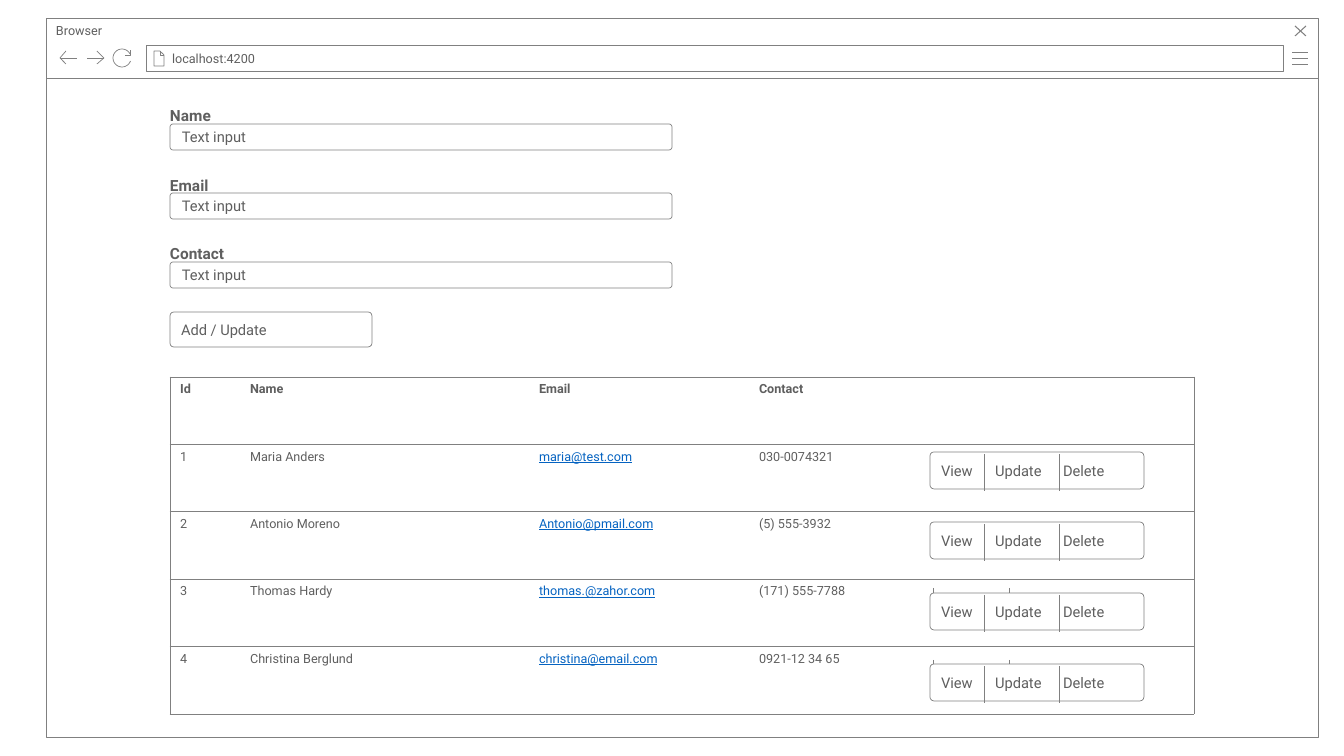
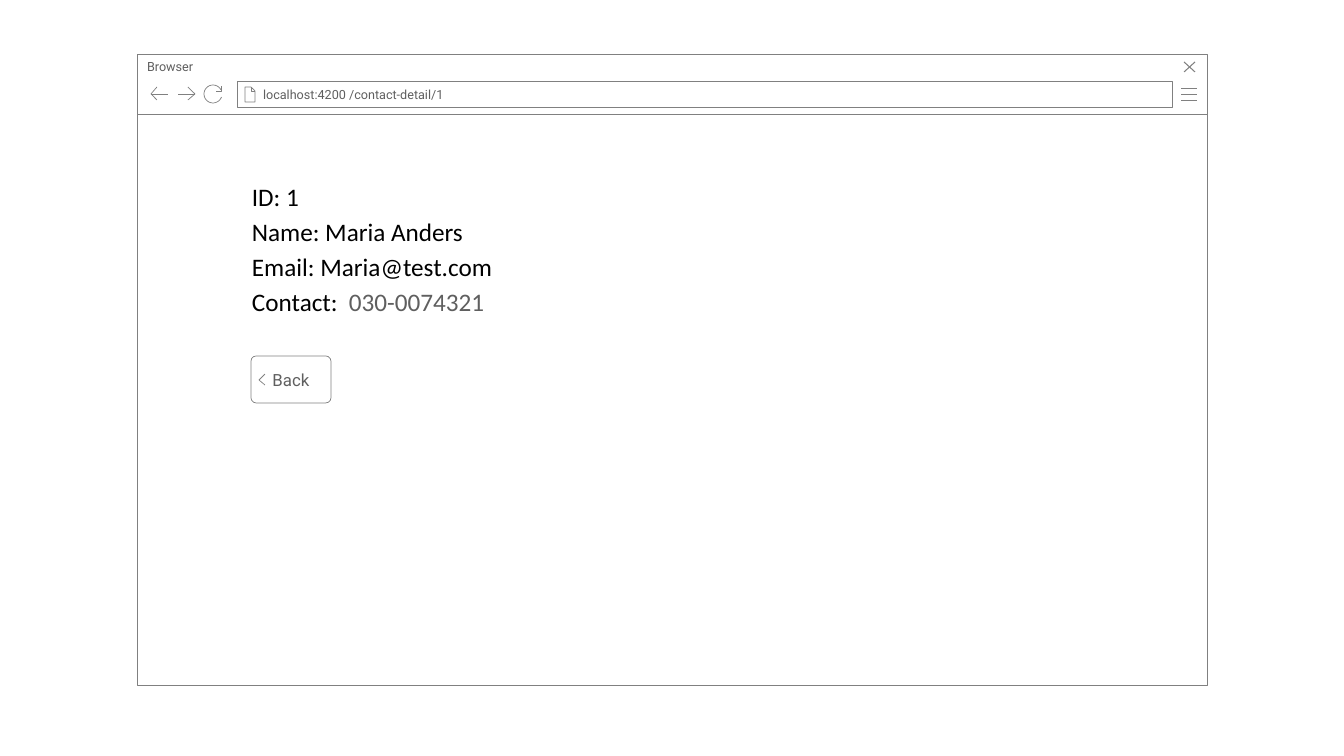
import math
from lxml import etree
from pptx import Presentation
from pptx.dml.color import RGBColor
from pptx.enum import shapes, text
from pptx.oxml import ns
from pptx.util import Pt

PX = 9071  # EMU in one px
GREY, INK, LINK, WHITE, BLACK = "808080", "5F5F5F", "0563C1", "FFFFFF", "000000"
FONT = "Roboto"
RECT, ROUND = shapes.MSO_SHAPE.RECTANGLE, shapes.MSO_SHAPE.ROUNDED_RECTANGLE
rgb = RGBColor.from_string


def box(slide, kind, x, y, w, h, label="", size=9, inset=10, tabs=()):
    """Draw an outlined box with left-aligned text; tabs are px from the inset."""
    shape = slide.shapes.add_shape(kind, x * PX, y * PX, w * PX, h * PX)
    shape.shadow.inherit = False
    shape.fill.solid()
    shape.fill.fore_color.rgb = rgb(WHITE)
    shape.line.color.rgb = rgb(GREY)
    shape.line.width = Pt(0.5)
    if kind == ROUND:
        shape.adjustments[0] = 0.11
    frame = shape.text_frame
    frame.word_wrap = True
    frame.vertical_anchor = text.MSO_ANCHOR.MIDDLE
    frame.margin_left, frame.margin_right = inset * PX, 7 * PX
    frame.margin_top = frame.margin_bottom = 0
    para = frame.paragraphs[0]
    para.text = label
    para.alignment = text.PP_ALIGN.LEFT
    if tabs:
        stops = etree.SubElement(para._p.get_or_add_pPr(), ns.qn("a:tabLst"))
        for tab in tabs:
            etree.SubElement(stops, ns.qn("a:tab"), pos=str(tab * PX), algn="l")
    para.font.name, para.font.size = FONT, Pt(size)
    para.font.color.rgb = rgb(INK)
    return shape


def trace(slide, left, top, strokes, width=0.5):
    """Draw an icon as one outline; each stroke is a list of px points."""
    pen = None
    for stroke in strokes:
        spots = [((left + x) * PX, (top + y) * PX) for x, y in stroke]
        if pen is None:
            pen = slide.shapes.build_freeform(*spots[0], scale=1)
        else:
            pen.move_to(*spots[0])
        pen.add_line_segments(spots[1:], close=False)
    icon = pen.convert_to_shape()
    icon.shadow.inherit = False
    icon.fill.background()
    icon.line.color.rgb = rgb(GREY)
    icon.line.width = Pt(width)


deck = Presentation()
deck.slide_width, deck.slide_height = 1344 * PX, 756 * PX

# Browser windows, one per slide
arc = [(76 + 9 * math.cos(math.radians(a)), 40 + 9 * math.sin(math.radians(a)))
       for a in range(20, 333, 12)]
tools = [
    [[(108, 33), (108, 48), (118, 48), (118, 37), (114, 33), (108, 33)],
     [(114, 33), (114, 37), (118, 37)]],
    [[(20, 46), (14, 40), (20, 33)], [(14, 40), (31, 40)]],
    [[(51, 33), (58, 40), (51, 46)], [(58, 40), (41, 40)]],
    [[(84, 32), (84, 37), (79, 37)], arc],
]
menu = [[(-26, y), (-10, y)] for y in (34, 40, 46)]
cross = [[(-12, 8), (-23, 18)], [(-23, 8), (-12, 18)]]

pages = []
for x, y, w, h, url in [
    (46, 18, 1272, 719, "localhost:4200"),
    (137, 54, 1070, 631, "localhost:4200 /contact-detail/1"),
]:
    page = deck.slides.add_slide(deck.slide_layouts[6])
    pages.append(page)
    box(page, RECT, x, y + 60, w, h - 60)
    bar = box(page, RECT, x, y, w, 60, "Browser").text_frame
    bar.vertical_anchor = text.MSO_ANCHOR.TOP
    bar.margin_top = 5 * PX
    trace(page, x + w, y, menu)
    trace(page, x + w, y, cross, 0.75)
    box(page, RECT, x + 100, y + 27, w - 135, 26, url, inset=26)
    for tool in tools:
        trace(page, x, y, tool)
form, detail = pages

# Contact form
for i, name in enumerate(["Name", "Email", "Contact"]):
    y = 124 + 69 * i
    box(form, ROUND, 170, y, 502, 26, "Text input", 10.5, 11)
    frame = form.shapes.add_textbox(170 * PX, (y - 22) * PX, 100 * PX, 16 * PX).text_frame
    frame.word_wrap = True
    frame.margin_left = frame.margin_right = frame.margin_top = frame.margin_bottom = 0
    para = frame.paragraphs[0]
    para.text = name
    para.line_spacing = 1.25
    para.font.name, para.font.size, para.font.bold = FONT, Pt(11), True
    para.font.color.rgb = rgb(INK)
box(form, ROUND, 170, 312, 202, 35, "Add / Update", 10.5)

# Contact table
rows = [
    ("Id", "Name", "Email", "Contact", ""),
    ("1", "Maria Anders", "maria@test.com", "030-0074321", ""),
    ("2", "Antonio Moreno", "Antonio@pmail.com", "(5) 555-3932", ""),
    ("3", "Thomas Hardy", "thomas.@zahor.com", "(171) 555-7788", ""),
    ("4", "Christina Berglund", "christina@email.com", "0921-12 34 65", ""),
]
table = form.shapes.add_table(5, 5, 170 * PX, 377 * PX, 1024 * PX, 337 * PX).table
table.first_row = table.horz_banding = False
for col, w in zip(table.columns, (70, 289, 220, 261, 184)):
    col.width = w * PX
for r, row in enumerate(rows):
    table.rows[r].height = 337 * PX // 5
    for c, value in enumerate(row):
        cell = table.cell(r, c)
        cell.fill.solid()
        cell.fill.fore_color.rgb = rgb(WHITE)
        para = cell.text_frame.paragraphs[0]
        para.text = value
        link = r > 0 and c == 2
        para.font.name, para.font.size = FONT, Pt(9)
        para.font.bold, para.font.underline = r == 0, link
        para.font.color.rgb = rgb(LINK if link else INK)
        edges = [("L", c == 0), ("R", c == 4), ("T", True), ("B", True)]
        for i, (side, shown) in enumerate(edges):
            edge = etree.Element(ns.qn("a:ln" + side), w=str(Pt(0.5)))
            paint = etree.SubElement(edge, ns.qn("a:solidFill" if shown else "a:noFill"))
            if shown:
                etree.SubElement(paint, ns.qn("a:srgbClr"), val=GREY)
            cell._tc.get_or_add_tcPr().insert(i, edge)

# Row buttons with dividers
tops = (452, 522, 593, 664)
for y in tops:
    box(form, ROUND, 930, y, 214, 37, "View\tUpdate\tDelete", 10.5, tabs=(54, 122))
rails = [(x, y + 2, 37) for y in tops for x in (984, 1059)]
rails += [(x, y, h) for y, h in ((588, 5), (660, 4)) for x in (933, 1009)]
for x, y, h in rails:
    rail = form.shapes.add_connector(
        shapes.MSO_CONNECTOR.STRAIGHT, x * PX, y * PX, x * PX, (y + h) * PX)
    rail.line.color.rgb = rgb(GREY)
    rail.line.width = Pt(0.5)
    etree.SubElement(rail._element.spPr, ns.qn("a:effectLst"))

# Contact detail
box(detail, ROUND, 251, 356, 80, 47, "Back", 12, 20)
trace(detail, 259, 374, [[(6, 11), (0, 6), (6, 0)]])
facts = ["ID: 1", "Name: Maria Anders", "Email: Maria@test.com", "Contact:"]
for i, fact in enumerate(facts):
    frame = detail.shapes.add_textbox(
        242 * PX, (176 + 35 * i) * PX, 359 * PX, 40 * PX).text_frame
    frame.word_wrap = True
    para = frame.paragraphs[0]
    para.text = fact
    if fact == "Contact:":
        stops = etree.SubElement(para._p.get_or_add_pPr(), ns.qn("a:tabLst"))
        etree.SubElement(stops, ns.qn("a:tab"), pos=str(97 * PX), algn="l")
        phone = para.add_run()
        phone.text = "\t030-0074321"
        phone.font.color.rgb = rgb(INK)
    para.font.name, para.font.size = "Calibri", Pt(18)
    para.font.color.rgb = rgb(BLACK)

deck.save("out.pptx")
